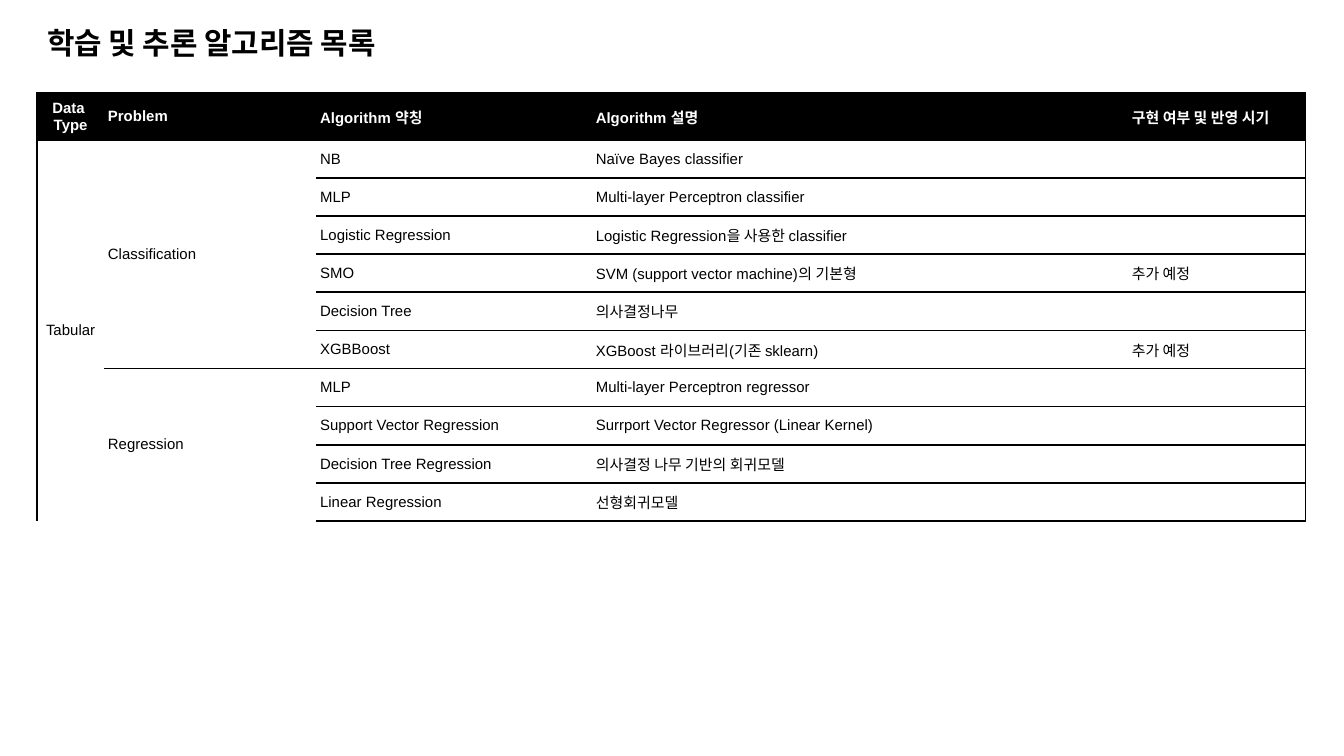
from lxml import etree
from pptx import Presentation
from pptx.dml.color import RGBColor
from pptx.enum.text import MSO_ANCHOR, PP_ALIGN
from pptx.oxml.ns import qn
from pptx.util import Cm, Pt

MIDDLE = MSO_ANCHOR.MIDDLE
LEFT, CENTER = PP_ALIGN.LEFT, PP_ALIGN.CENTER
BLACK = RGBColor(0x00, 0x00, 0x00)
WHITE = RGBColor(0xFF, 0xFF, 0xFF)
LATIN, KOREAN = "Arial", "Noto Sans CJK KR"

# Content
TITLE = "학습 및 추론 알고리즘 목록"
HEADER = ("Data \nType", "Problem", "Algorithm 약칭", "Algorithm 설명", "구현 여부 및 반영 시기")
DATA_TYPE = "Tabular"
PLANNED = "추가 예정"
PROBLEMS = {
    "Classification": [
        ("NB", "Naïve Bayes classifier", ""),
        ("MLP", "Multi-layer Perceptron classifier", ""),
        ("Logistic Regression", "Logistic Regression을 사용한 classifier", ""),
        ("SMO", "SVM (support vector machine)의 기본형", PLANNED),
        ("Decision Tree", "의사결정나무", ""),
        ("XGBBoost", "XGBoost 라이브러리(기존 sklearn)", PLANNED),
    ],
    "Regression": [
        ("MLP", "Multi-layer Perceptron regressor", ""),
        ("Support Vector Regression", "Surrport Vector Regressor (Linear Kernel)", ""),
        ("Decision Tree Regression", "의사결정 나무 기반의 회귀모델", ""),
        ("Linear Regression", "선형회귀모델", ""),
    ],
}
COLUMN_WIDTHS = (1.27, 4.01, 5.21, 10.13, 3.35)
HEADER_HEIGHT, ROW_HEIGHT = 0.88, 0.72


def add_run(paragraph, text, size, color, bold, latin):
    run = paragraph.add_run()
    run.text = text
    font = run.font
    font.size, font.bold, font.name = Pt(size), bold, latin
    font.color.rgb = color
    etree.SubElement(run._r.get_or_add_rPr(), qn("a:ea")).set("typeface", KOREAN)


def set_borders(cell, drawn):
    """Draw the named sides in black and leave the other sides without a line."""
    properties = cell._tc.get_or_add_tcPr()
    for index, side in enumerate("LRTB"):
        line = etree.Element(qn(f"a:ln{side}"), w=str(Pt(1)))
        if side in drawn:
            fill = etree.SubElement(line, qn("a:solidFill"))
            etree.SubElement(fill, qn("a:srgbClr")).set("val", str(BLACK))
        else:
            etree.SubElement(line, qn("a:noFill"))
        properties.insert(index, line)


def fill_cell(cell, text, is_header, align):
    cell.fill.solid()
    cell.fill.fore_color.rgb = BLACK if is_header else WHITE
    cell.vertical_anchor = MIDDLE
    cell.margin_left = cell.margin_right = Cm(0.07)
    cell.margin_top = cell.margin_bottom = Cm(0.07)
    frame = cell.text_frame
    for index, part in enumerate(text.split("\n")):
        paragraph = frame.add_paragraph() if index else frame.paragraphs[0]
        paragraph.alignment = align
        if part:
            add_run(paragraph, part, 8, WHITE if is_header else BLACK, is_header, LATIN)
        else:
            # Keeps an empty cell from stretching its row
            etree.SubElement(paragraph._p, qn("a:endParaRPr")).set("sz", "800")


presentation = Presentation()
presentation.slide_width, presentation.slide_height = Cm(25.4), Cm(14.28)
slide = presentation.slides.add_slide(presentation.slide_layouts[5])

# Title
title = slide.shapes.title
title.left, title.top, title.width, title.height = Cm(0.71), Cm(0.25), Cm(19.66), Cm(1.1)
title_frame = title.text_frame
title_frame.word_wrap = True
title_frame.vertical_anchor = MIDDLE
title_frame.margin_left = title_frame.margin_right = Cm(0.18)
title_frame.margin_top = title_frame.margin_bottom = Cm(0.1)
title_frame.paragraphs[0].alignment = LEFT
add_run(title_frame.paragraphs[0], TITLE, 16, BLACK, True, KOREAN)

# Rows, with each problem named on the first row of its group
rows = [HEADER]
groups = []
for problem, algorithms in PROBLEMS.items():
    groups.append((len(rows), len(rows) + len(algorithms) - 1))
    for index, algorithm in enumerate(algorithms):
        rows.append((DATA_TYPE if len(rows) == 1 else "", "" if index else problem, *algorithm))
last_row, last_column = len(rows) - 1, len(HEADER) - 1

# Table
table = slide.shapes.add_table(
    len(rows), len(HEADER), Cm(0.7), Cm(1.76),
    Cm(sum(COLUMN_WIDTHS)), Cm(HEADER_HEIGHT + ROW_HEIGHT * last_row),
).table
table.horz_banding = False
for column, width in zip(table.columns, COLUMN_WIDTHS):
    column.width = Cm(width)
for index, row in enumerate(table.rows):
    row.height = Cm(ROW_HEIGHT if index else HEADER_HEIGHT)

# Cells: outer frame, and a rule between rows except inside merged groups
spans = [(0, 1, last_row)] + [(1, first, last) for first, last in groups]
for row, texts in enumerate(rows):
    for column, text in enumerate(texts):
        cell = table.cell(row, column)
        fill_cell(cell, text, row == 0, LEFT if column else CENTER)
        first, last = next(((a, b) for c, a, b in spans if c == column and a <= row <= b), (row, row))
        sides = ("L" if column == 0 else "") + ("R" if column == last_column else "")
        sides += ("T" if row == first else "") + ("B" if row == last else "")
        set_borders(cell, sides)
for column, first, last in spans:
    table.cell(first, column).merge(table.cell(last, column))

presentation.save("out.pptx")
